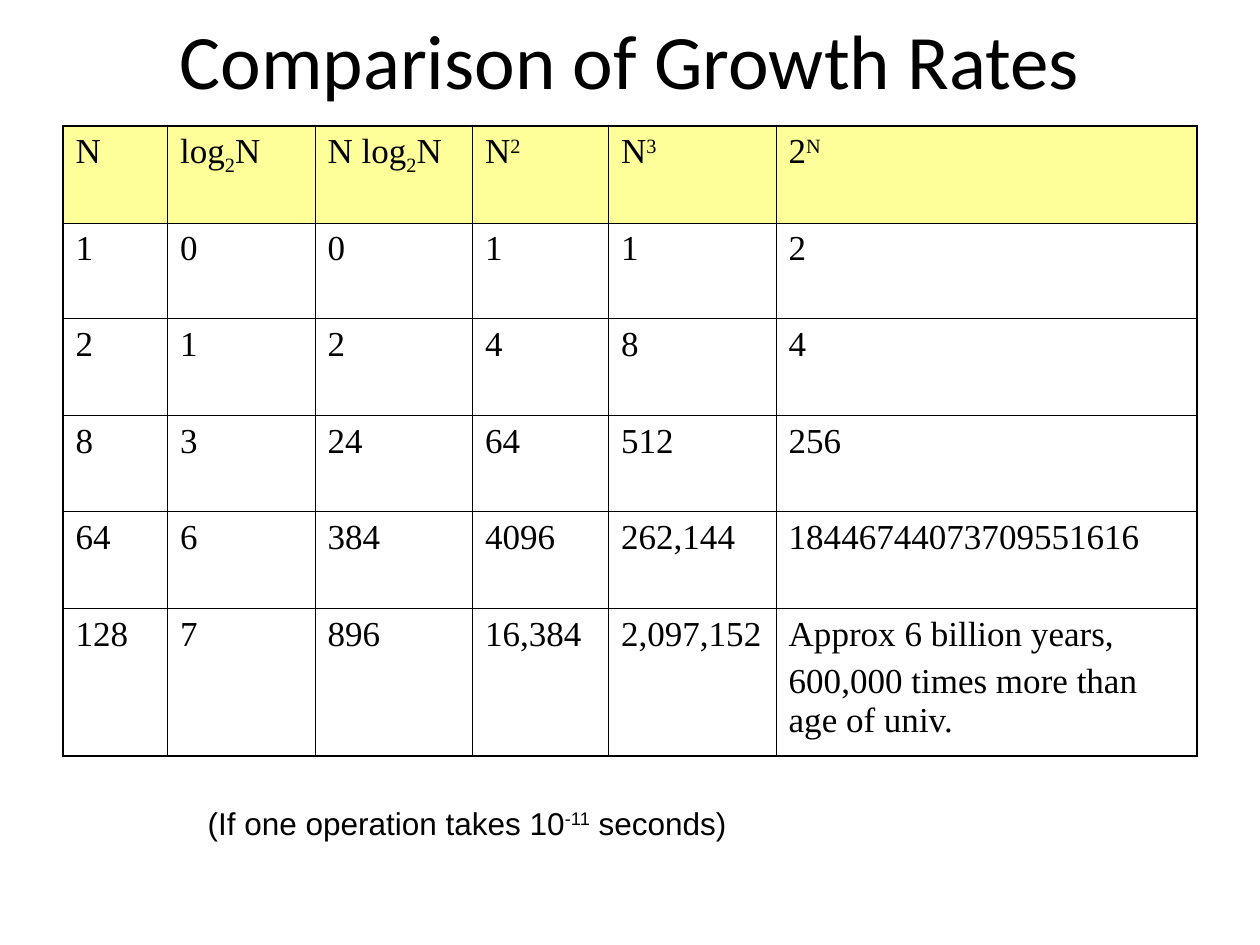
from lxml import etree
from pptx import Presentation
from pptx.dml.color import RGBColor
from pptx.enum.text import MSO_ANCHOR, MSO_AUTO_SIZE, PP_ALIGN
from pptx.oxml.ns import qn
from pptx.util import Inches, Pt

CENTER = PP_ALIGN.CENTER
MIDDLE = MSO_ANCHOR.MIDDLE
NO_AUTOFIT = MSO_AUTO_SIZE.NONE
FIT_SHAPE = MSO_AUTO_SIZE.SHAPE_TO_FIT_TEXT

BLACK = "000000"
HEADER_YELLOW = "FFFF99"
THIN, THICK = 0.45, 1.08
BASELINES = {"^": "30000", "_": "-25000"}

TITLE_FONT = {"name": "Calibri", "size": Pt(44)}
TABLE_FONT = {"name": "Times New Roman", "size": Pt(20)}
NOTE_FONT = {"name": "Arial", "size": Pt(18)}

COLUMN_WIDTHS = [0.83, 1.17, 1.25, 1.08, 1.33, 3.34]
ROW_HEIGHTS = [0.77, 0.76, 0.77, 0.76, 0.77, 1.17]
GROWTH_ROWS = [
    ["N", "log|_2|N", "N log|_2|N", "N|^2", "N|^3", "2|^N"],
    ["1", "0", "0", "1", "1", "2"],
    ["2", "1", "2", "4", "8", "4"],
    ["8", "3", "24", "64", "512", "256"],
    ["64", "6", "384", "4096", "262,144", "18446744073709551616"],
    ["128", "7", "896", "16,384", "2,097,152",
     "Approx 6 billion years,\n600,000 times more than age of univ."],
]


def color(hex_value):
    return RGBColor.from_string(hex_value)


def set_attributes(target, values):
    for name, value in values.items():
        setattr(target, name, value)


def write_text(text_frame, text, font, paragraph_format):
    for index, line in enumerate(text.split("\n")):
        paragraph = text_frame.add_paragraph() if index else text_frame.paragraphs[0]
        set_attributes(paragraph, paragraph_format)
        for part in line.split("|"):
            run = paragraph.add_run()
            run.text = part.lstrip("^_")
            set_attributes(run.font, font)
            run.font.color.rgb = color(BLACK)
            if part[0] in BASELINES:
                run.font._element.set("baseline", BASELINES[part[0]])


def set_borders(cell, widths):
    properties = cell._tc.get_or_add_tcPr()
    for side, width in widths.items():
        line = etree.SubElement(properties, qn(f"a:ln{side}"), w=str(Pt(width)))
        fill = etree.SubElement(line, qn("a:solidFill"))
        etree.SubElement(fill, qn("a:srgbClr"), val=BLACK)


def add_title(slide, left, top, width, height):
    title = slide.shapes.title
    set_attributes(title, {"left": left, "top": top, "width": width, "height": height})
    set_attributes(title.text_frame, {
        "vertical_anchor": MIDDLE, "word_wrap": True, "auto_size": NO_AUTOFIT})
    write_text(title.text_frame, "Comparison of Growth Rates", TITLE_FONT,
               {"alignment": CENTER})


def add_growth_table(slide, left, top, width, height):
    last_row, last_column = len(ROW_HEIGHTS) - 1, len(COLUMN_WIDTHS) - 1
    table = slide.shapes.add_table(
        last_row + 1, last_column + 1, left, top, width, height).table
    set_attributes(table, {"first_row": False, "horz_banding": False})
    for column, column_width in zip(table.columns, COLUMN_WIDTHS):
        column.width = Inches(column_width)
    for row, row_height in zip(table.rows, ROW_HEIGHTS):
        row.height = Inches(row_height)
    for row_index, texts in enumerate(GROWTH_ROWS):
        for column_index, text in enumerate(texts):
            cell = table.cell(row_index, column_index)
            set_borders(cell, {
                "L": THICK if column_index == 0 else THIN,
                "R": THICK if column_index == last_column else THIN,
                "T": THICK if row_index == 0 else THIN,
                "B": THICK if row_index == last_row else THIN,
            })
            if row_index == 0:
                cell.fill.solid()
                cell.fill.fore_color.rgb = color(HEADER_YELLOW)
            else:
                cell.fill.background()
            write_text(cell.text_frame, text, TABLE_FONT, {"space_before": Pt(5)})


def add_note(slide, left, top, width, height):
    text_frame = slide.shapes.add_textbox(left, top, width, height).text_frame
    set_attributes(text_frame, {"word_wrap": False, "auto_size": FIT_SHAPE})
    write_text(text_frame, "(If one operation takes 10|^-11| seconds)", NOTE_FONT, {})


def main():
    presentation = Presentation()
    set_attributes(presentation, {"slide_width": Inches(10), "slide_height": Inches(7.5)})
    slide = presentation.slides.add_slide(presentation.slide_layouts.get_by_name("Title Only"))
    add_title(slide, Inches(0.5), Inches(0.08), Inches(9), Inches(0.78))
    add_growth_table(slide, Inches(0.5), Inches(1), Inches(9), Inches(5))
    add_note(slide, Inches(1.55), Inches(6.33), Inches(4.33), Inches(0.4))
    presentation.save("out.pptx")


if __name__ == "__main__":
    main()
